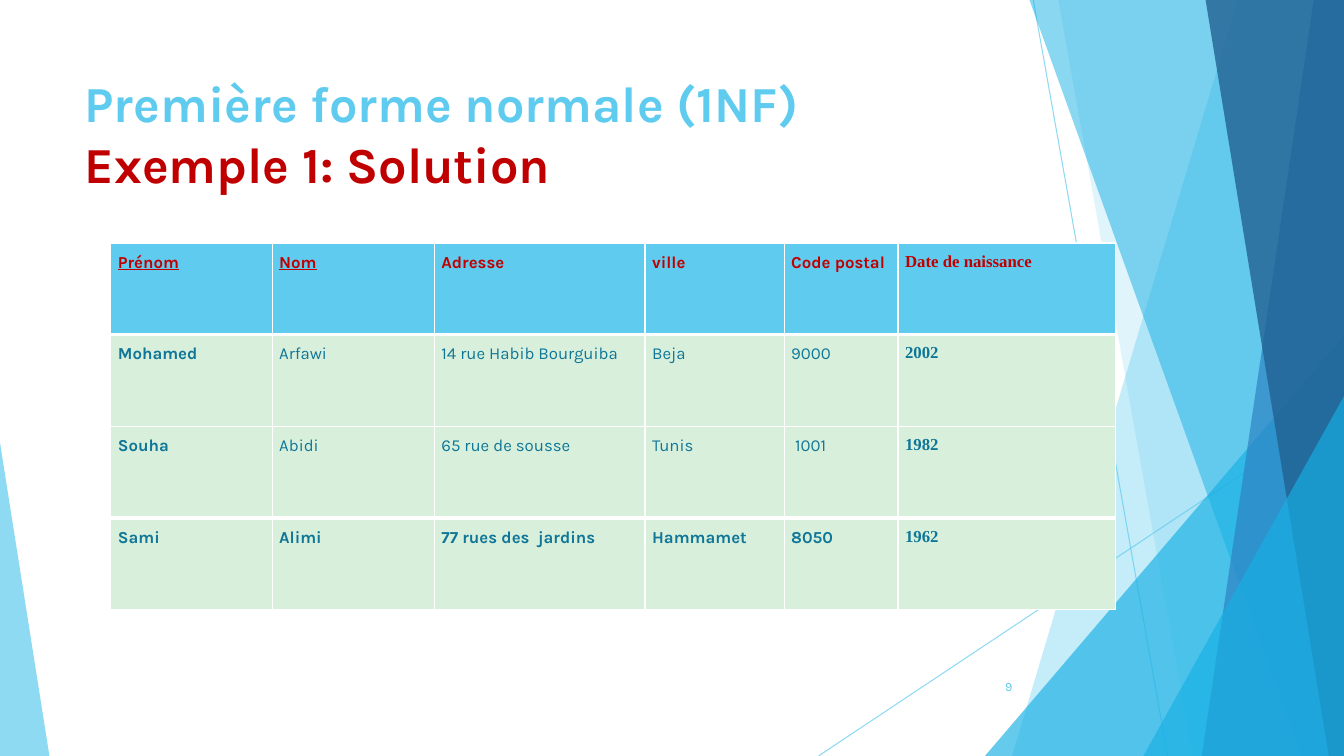
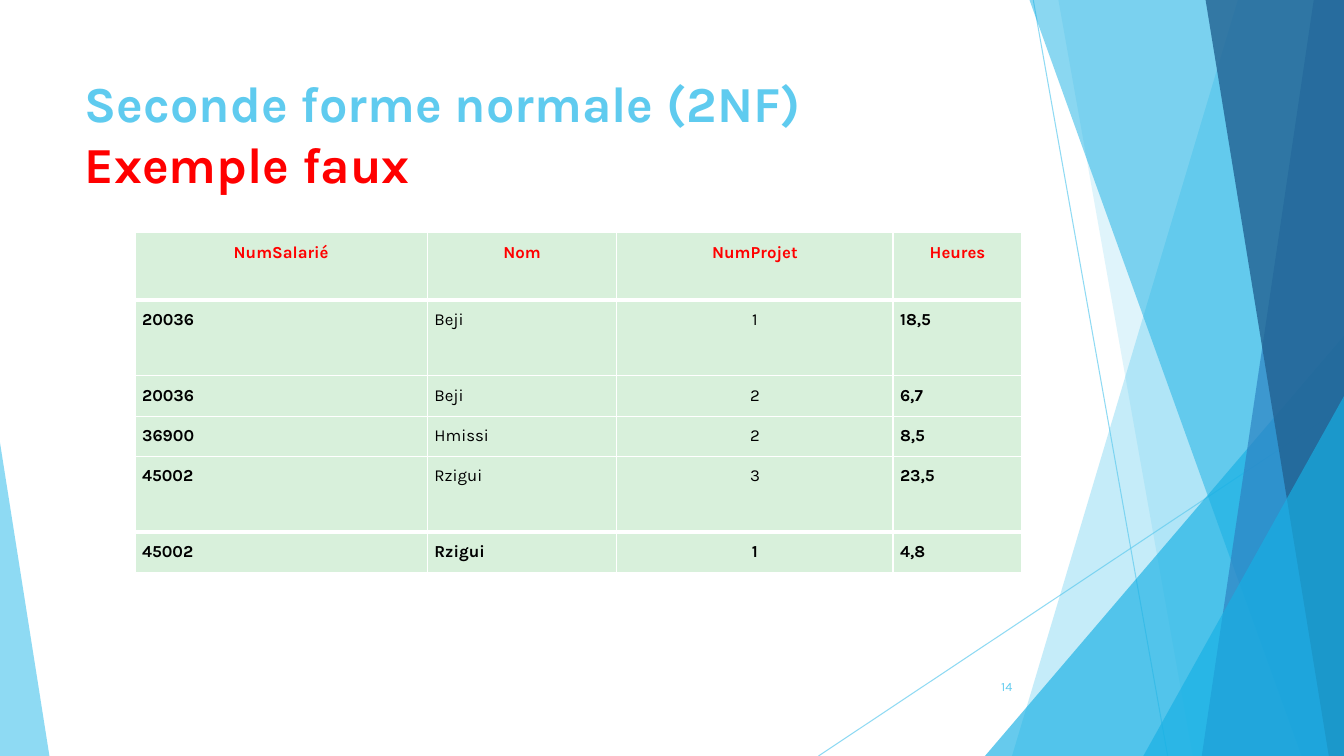
from lxml import etree
from pptx import Presentation
from pptx import util as u
from pptx.dml.color import RGBColor
from pptx.enum import shapes, text
from pptx.oxml.ns import qn

W, H = u.Inches(13.33), u.Inches(7.5)
SKY, AZURE, BLUE, NAVY = "5FCBEF", "17B0E4", "2E83C3", "226292"
MINT, TEAL, WHITE, BLACK = "D8F0DB", "0F7698", "FFFFFF", "000000"
CRIMSON, RED = "C00000", "FF0000"
FONT, SERIF = "Karla", "Times New Roman"
LEFT, CENTER, RIGHT, JUSTIFY = (text.PP_ALIGN.LEFT, text.PP_ALIGN.CENTER,
                                text.PP_ALIGN.RIGHT, text.PP_ALIGN.JUSTIFY)


def rgb(color):
    return RGBColor.from_string(color)


def px(share):
    return round(W * share / 100)


def py(share):
    return round(H * share / 100)


def box(left, top, width, height):
    return px(left), py(top), px(width), py(height)


def put_text(p, content, size=12, color=BLACK, font=FONT, bold=False,
             underline=False, align=None, spacing=None):
    r = p.add_run()
    r.text = content
    r.font.size, r.font.name = u.Pt(size), font
    r.font.bold, r.font.underline = bold, underline
    r.font.color.rgb = rgb(color)
    if align is not None:
        p.alignment = align
    if spacing:
        p.line_spacing = spacing


def set_alpha(sp, percent):
    color = sp.element.find(".//" + qn("a:srgbClr"))
    etree.SubElement(color, qn("a:alpha"), val=str(percent * 1000))


def paint(sp, color, alpha):
    sp.shadow.inherit = False
    sp.fill.solid()
    sp.fill.fore_color.rgb = rgb(color)
    sp.line.fill.background()
    set_alpha(sp, alpha)


def ray(grp, x1, y1, x2, y2):
    sp = grp.shapes.add_connector(shapes.MSO_CONNECTOR.STRAIGHT,
                                  px(x1), py(y1), px(x2), py(y2))
    sp.line.color.rgb = rgb(SKY)
    sp.line.width = u.Pt(0.75)
    set_alpha(sp, 70)
    etree.SubElement(sp.element.spPr, qn("a:effectLst"))


def wedge(grp, top, bottom, color, alpha):
    outline = grp.shapes.build_freeform(px(top), 0)
    outline.add_line_segments([(W, 0), (W, H), (px(bottom), H)], close=True)
    paint(outline.convert_to_shape(), color, alpha)


def corner(grp, left, top, width, peak, color, alpha):
    sp = grp.shapes.add_shape(shapes.MSO_SHAPE.ISOSCELES_TRIANGLE,
                              *box(left, top, width, 100 - top))
    sp.adjustments[0] = peak
    paint(sp, color, alpha)


def build_master(prs, s):
    grp = s.shapes.add_group_shape()
    ray(grp, 76.88, 0, 86.88, 100)
    ray(grp, 100, 53.75, 60.9, 100)
    wedge(grp, 92.1, 75.3, SKY, 36)
    wedge(grp, 78.75, 88.75, SKY, 20)
    corner(grp, 73.29, 44.4, 26.71, 1, AZURE, 66)
    wedge(grp, 76.6, 96.83, AZURE, 50)
    wedge(grp, 97.75, 89.42, BLUE, 70)
    wedge(grp, 89.7, 98.87, NAVY, 80)
    corner(grp, 85.07, 52.4, 14.93, 1, AZURE, 66)
    corner(grp, 0, 58.53, 3.68, 0, SKY, 70)
    for i, props in enumerate(grp.element.iter(qn("p:cNvPr"))):
        props.set("id", str(100 + i))
    prs.slide_master.shapes.element.insert(2, grp.element)


def add_title(s, heading, subtitle, color):
    sp = s.shapes.title
    sp.left, sp.top, sp.width, sp.height = box(5.55, 8.93, 70.5, 19.2)
    tf = sp.text_frame
    tf.auto_size = text.MSO_AUTO_SIZE.NONE
    tf.vertical_anchor = text.MSO_ANCHOR.TOP
    p = tf.paragraphs[0]
    put_text(p, heading, size=36, color=SKY, bold=True, align=LEFT)
    p.add_line_break()
    put_text(p, subtitle, size=36, color=color, bold=True)


def add_number(s, number):
    tf = s.shapes.add_textbox(*box(70.43, 88.13, 5.63, 5.33)).text_frame
    tf.word_wrap = True
    tf.vertical_anchor = text.MSO_ANCHOR.MIDDLE
    put_text(tf.paragraphs[0], str(number), size=9, color=SKY, align=RIGHT)


def set_borders(cell, top, bottom):
    pr = cell._tc.get_or_add_tcPr()
    for side, width in (("L", 1), ("R", 1), ("T", top), ("B", bottom)):
        ln = etree.SubElement(pr, qn("a:ln" + side), w=str(u.Pt(width)))
        fill = etree.SubElement(ln, qn("a:solidFill"))
        etree.SubElement(fill, qn("a:srgbClr"), val=WHITE)


def add_table(s, area, cols, rows, data, head_fill, head_color, body_color,
              head_align=JUSTIFY, centered=(), keys=(), serif=()):
    left, top, width, height = area
    table = s.shapes.add_table(len(rows), len(cols), *area).table
    table.first_row = table.horz_banding = False
    for column, share in zip(table.columns, cols):
        column.width = round(width * share / sum(cols))
    for row, share in zip(table.rows, rows):
        row.height = round(height * share / sum(rows))
    last_row, last_col = len(rows) - 1, len(cols) - 1
    for i, values in enumerate(data):
        head = i == 0
        for j, value in enumerate(values):
            cell = table.cell(i, j)
            cell.margin_left = cell.margin_right = u.Inches(0.07)
            cell.margin_top = cell.margin_bottom = 0
            set_borders(cell, 3 if i in (1, last_row) else 1,
                        3 if i in (0, last_row - 1) else 1)
            cell.fill.solid()
            cell.fill.fore_color.rgb = rgb(head_fill if head else MINT)
            align = CENTER if j in centered else JUSTIFY
            put_text(cell.text_frame.paragraphs[0], value,
                     color=head_color if head else body_color,
                     font=SERIF if j in serif else FONT,
                     bold=i in (0, last_row) or j in (0, last_col),
                     underline=head and j in keys,
                     align=head_align if head else align, spacing=1.5)


def first_form(s):
    add_title(s, "Première forme normale (1NF)", "Exemple 1: Solution", CRIMSON)
    add_table(s, box(8.25, 32.13, 74.78, 48.53),
              [1.6, 1.61, 2.09, 1.38, 1.13, 2.16], [1] * 4,
              [["Prénom", "Nom", "Adresse", "ville", "Code postal", "Date de naissance"],
               ["Mohamed", "Arfawi", "14 rue Habib Bourguiba", "Beja", "9000", "2002"],
               ["Souha", "Abidi", "65 rue de sousse", "Tunis", " 1001", "1982"],
               ["Sami", "Alimi", "77 rues des  jardins", "Hammamet", "8050", "1962"]],
              SKY, CRIMSON, TEAL, keys=(0, 1), serif=(5,))
    add_number(s, 9)


def second_form(s):
    add_title(s, "Seconde forme normale (2NF)", "Exemple faux", RED)
    add_table(s, box(10.05, 30.8, 66, 44.93),
              [2.9, 1.88, 2.74, 1.28], [0.67, 0.75, 0.4, 0.4, 0.75, 0.4],
              [["NumSalarié", "Nom", "NumProjet", "Heures"],
               ["20036", "Beji", "1", "18,5"],
               ["20036", "Beji", "2", "6,7"],
               ["36900", "Hmissi", "2", "8,5"],
               ["45002", "Rzigui", "3", "23,5"],
               ["45002", "Rzigui", "1", "4,8"]],
              MINT, RED, BLACK, head_align=CENTER, centered=(2,))
    add_number(s, 14)


def main():
    prs = Presentation()
    prs.slide_width, prs.slide_height = W, H
    first, second = [prs.slides.add_slide(prs.slide_layouts[5]) for _ in range(2)]
    build_master(prs, first)
    first_form(first)
    second_form(second)
    prs.save("out.pptx")


if __name__ == "__main__":
    main()
